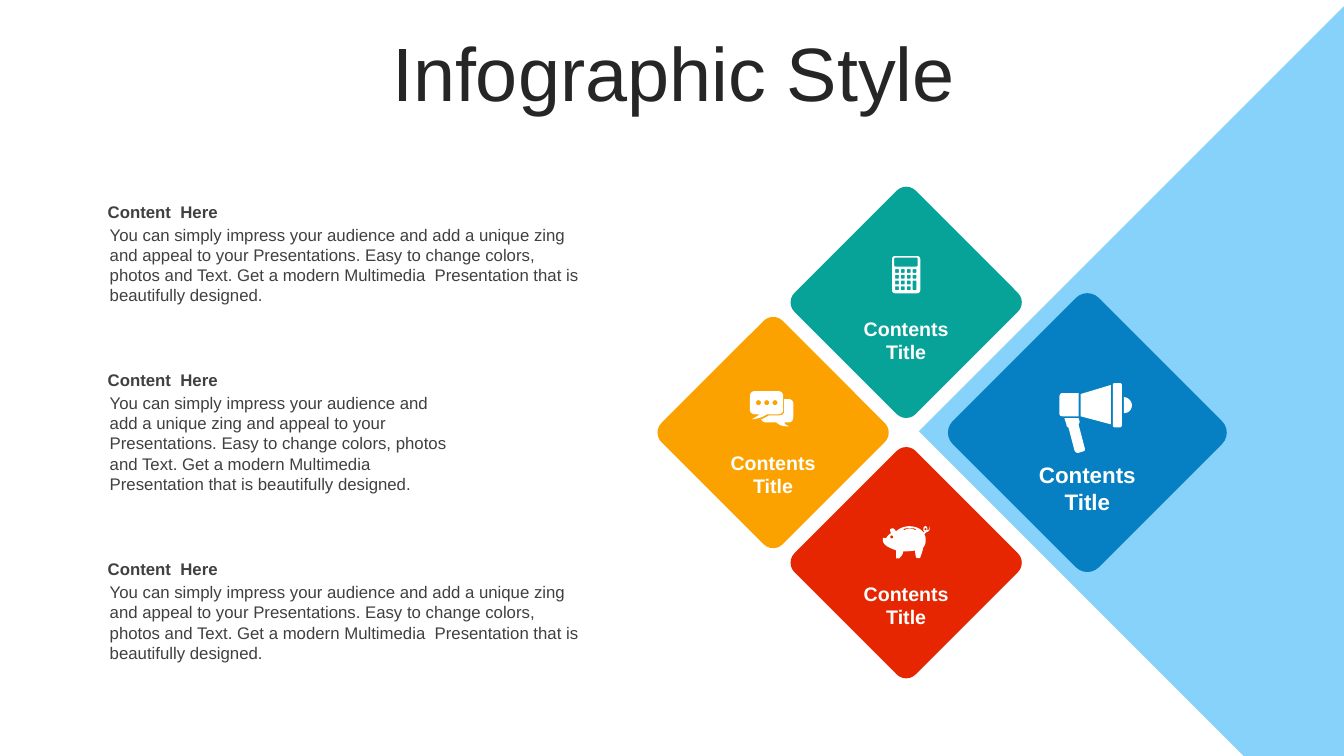
from math import cos, pi, sin

from pptx import Presentation
from pptx.dml.color import RGBColor
from pptx.enum.shapes import MSO_SHAPE
from pptx.enum.text import MSO_ANCHOR, MSO_AUTO_SIZE, PP_ALIGN
from pptx.util import Emu, Inches, Pt

COLORS = {
    "title": "262626", "text": "404040", "white": "FFFFFF", "sky": "87D2FB",
    "blue": "0680C3", "amber": "FBA200", "teal": "07A398", "red": "E62601",
}
FONT = "Arial"

# Square grid: 160 columns by 90 rows
CELL = Inches(7.5) / 90
ICON_STEP = 0.12  # icon unit, in cells

HEADING = "Content  Here"
BODY = ("You can simply impress your audience and add a unique zing and appeal "
        "to your Presentations. Easy to change colors, photos and Text. Get a "
        "modern Multimedia  Presentation that is beautifully designed.")

# Icon outlines, in icon units from the icon's top left corner
FRONT_BUBBLE = (
    "M 5 0 L 28 0 C 31 0 33 2 33 5 L 33 19 C 33 21 31 23 28 23 L 17 23 "
    "C 12 26 10 27 2 28 C 7 25 7 25 10 23 L 5 23 C 2 23 0 21 0 19 "
    "L 0 5 C 0 2 2 0 5 0")
BACK_BUBBLE = (
    "M 34 8 L 39 8 C 41 8 43 10 43 12 L 43 26 C 43 29 41 31 39 31 L 34 31 "
    "C 35 32 34 33 39 35 C 31 35 30 34 26 31 L 15 31 C 13 31 12 29 11 28 "
    "C 14 27 16 26 19 24 L 30 24 C 32 24 34 22 34 20")
MEGAPHONE_HANDLE = (
    "M 19 35 L 20 38 C 20 39 20 40 19 41 L 25 64 C 26 66 25 68 23 68 "
    "L 20 69 C 18 70 16 69 15 67 L 9 44 C 8 44 7 43 7 41 L 5 35")
MEGAPHONE_DOME = "M 64 14 C 68 14 72 18 72 22 C 72 27 68 30 64 30"
MEGAPHONE_BLOCK = (
    "M 3 10 L 19 10 L 19 33 L 3 33 C 1 33 0 32 0 30 L 0 14 C 0 12 1 10 3 10")
MEGAPHONE_HORN = "M 51 2 L 51 41 L 21 33 L 21 11"
PIG_BODY = (
    "M 27 0 C 32 0 38 2 40 5 L 41 6 C 42 6 42 6 42 5 C 41 5 41 4 41 3 "
    "C 41 1 42 0 43 0 C 45 0 45 2 45 3 C 45 4 45 3 45 4 C 46 4 47 4 47 0 "
    "C 48 4 47 5 44 6 C 44 6 43 7 42 8 L 43 10 C 44 15 43 19 41 21 "
    "C 40 26 39 28 38 31 C 38 32 34 32 34 31 C 33 29 33 27 33 24 "
    "C 29 25 24 25 21 25 C 21 28 19 30 17 32 L 14 32 C 14 32 14 27 14 24 "
    "C 9 22 -1 19 1 12 C 1 11 3 12 4 12 C 6 9 7 8 9 7 C 8 5 8 3 8 3 "
    "C 12 1 12 3 14 5 C 17 2 23 0 27 0")
PIG_SLOT = "M 27 2 C 25 2 23 2 21 3 L 22 4 C 25 2 30 2 33 4 L 34 3 C 32 2 30 2 27 2"


def cells(count):
    return Emu(round(count * CELL))


def color(name):
    return RGBColor.from_string(COLORS[name])


def paint(shape, fill):
    shape.shadow.inherit = False
    shape.fill.solid()
    shape.fill.fore_color.rgb = color(fill)
    shape.line.fill.background()


def outline(commands, steps=6):
    """Turn move, line and curve commands into a list of points."""
    points = []
    for command in commands.replace("L", "|").replace("C", "|").strip("M ").split("|"):
        numbers = [float(number) for number in command.split()]
        pairs = list(zip(numbers[::2], numbers[1::2]))
        if len(pairs) == 1:
            points += pairs
            continue
        controls = [points[-1]] + pairs
        for step in range(1, steps + 1):
            t = step / steps
            weights = ((1 - t) ** 3, 3 * t * (1 - t) ** 2, 3 * t * t * (1 - t), t ** 3)
            points.append(tuple(sum(w * point[axis] for w, point in zip(weights, controls))
                                for axis in (0, 1)))
    return points


def rounded_box(x, y, width, height, radius, steps=5):
    centers = ((x + width - radius, y + height - radius), (x + radius, y + height - radius),
               (x + radius, y + radius), (x + width - radius, y + radius))
    return [(cx + radius * cos(pi / 2 * (corner + step / steps)),
             cy + radius * sin(pi / 2 * (corner + step / steps)))
            for corner, (cx, cy) in enumerate(centers) for step in range(steps + 1)]


def dot(cx, cy, radius):
    return rounded_box(cx - radius, cy - radius, 2 * radius, 2 * radius, radius)


def add_outline(slide, left, top, contours, fill, step=ICON_STEP):
    """Draw contours as one shape; inner contours become holes."""
    placed = [[(cells(left + x * step), cells(top + y * step)) for x, y in contour]
              for contour in contours]
    builder = slide.shapes.build_freeform(*placed[0][0], scale=1.0)
    for index, contour in enumerate(placed):
        if index:
            builder.move_to(*contour[0])
        builder.add_line_segments(contour[1:], close=True)
    paint(builder.convert_to_shape(), fill)


def write(paragraph, text, size, fill, bold=False, align=PP_ALIGN.LEFT):
    paragraph.alignment = align
    run = paragraph.add_run()
    run.text = text
    run.font.name = FONT
    run.font.size = Pt(size)
    run.font.bold = bold
    run.font.color.rgb = color(fill)


def add_text(slide, box, lines, size, fill, bold=False, align=PP_ALIGN.LEFT,
             anchor=MSO_ANCHOR.TOP):
    frame = slide.shapes.add_textbox(*map(cells, box)).text_frame
    frame.word_wrap = True
    frame.vertical_anchor = anchor
    for index, line in enumerate(lines):
        paragraph = frame.add_paragraph() if index else frame.paragraphs[0]
        write(paragraph, line, size, fill, bold, align)


def add_title(slide, text):
    title = slide.shapes.title
    title.left, title.top, title.width, title.height = map(cells, (4.2, 4.4, 152, 9.5))
    frame = title.text_frame
    frame.auto_size = MSO_AUTO_SIZE.NONE
    frame.vertical_anchor = MSO_ANCHOR.MIDDLE
    frame.paragraphs[0].line_spacing = 0.9
    write(frame.paragraphs[0], text, 54, "title", align=PP_ALIGN.CENTER)


def add_diamond(slide, center, middle, side, fill, label_drop, label_size):
    box = (center - side / 2, middle - side / 2, side, side)
    diamond = slide.shapes.add_shape(MSO_SHAPE.ROUNDED_RECTANGLE, *map(cells, box))
    diamond.adjustments[0] = 0.078
    diamond.rotation = 45
    paint(diamond, fill)
    add_text(slide, (center - 11, middle + label_drop, 22, 7), ("Contents", "Title"),
             label_size, "white", bold=True, align=PP_ALIGN.CENTER)


def add_content(slide, top, width, height):
    add_text(slide, (11.64, top, width, 3.6), [HEADING], 12, "text", bold=True,
             anchor=MSO_ANCHOR.MIDDLE)
    add_text(slide, (11.88, top + 2.74, width, height), [BODY], 12, "text")


def calculator():
    keys = [rounded_box(3 + 5.8 * column, 13 + 5.7 * row, 3.8,
                        9.4 if (column, row) == (3, 2) else 3.7, 0.5)
            for row in range(4) for column in range(4) if (column, row) != (3, 3)]
    return [rounded_box(0, 0, 28, 37, 3), rounded_box(2, 1.5, 23.5, 9, 1.5)] + keys


def main():
    presentation = Presentation()
    presentation.slide_width, presentation.slide_height = cells(160), cells(90)
    slide = presentation.slides.add_slide(presentation.slide_layouts[5])
    add_title(slide, "Infographic Style")

    # Sky wedge entering from the right edge
    wedge = [(109.4, 51.35), (160, 0.75), (160, 90), (148.05, 90)]
    add_outline(slide, 0, 0, [wedge], "sky", step=1)

    # Diamonds with their labels
    add_diamond(slide, 129.45, 51.5, 24.6, "blue", 2.85, 16)
    add_diamond(slide, 92.04, 51.5, 20.4, "amber", 1.55, 14)
    add_diamond(slide, 107.88, 36, 20.4, "teal", 1.1, 14)
    add_diamond(slide, 107.88, 67, 20.4, "red", 1.65, 14)

    # Icons
    bubbles = [outline(FRONT_BUBBLE), outline(BACK_BUBBLE)]
    bubbles += [dot(8.5 + 8.2 * index, 11.5, 2.5) for index in range(3)]
    megaphone = [outline(part) for part in (MEGAPHONE_HANDLE, MEGAPHONE_DOME,
                                            MEGAPHONE_BLOCK, MEGAPHONE_HORN)]
    megaphone.append(rounded_box(53, 0, 9, 44, 2))
    pig = [outline(PIG_BODY), outline(PIG_SLOT), dot(9.7, 10.7, 1.5), dot(43.2, 3, 1.1)]
    for left, top, contours in ((106.2, 30.48, calculator()), (89.28, 46.56, bubbles),
                                (126.12, 45.6, megaphone), (105, 62.64, pig)):
        add_outline(slide, left, top, contours, "white")

    # Text blocks on the left
    for top, width, height in ((23.4, 58.5, 10.9), (43.44, 42.8, 13.3), (65.95, 58.5, 10.9)):
        add_content(slide, top, width, height)

    presentation.save("out.pptx")


if __name__ == "__main__":
    main()
